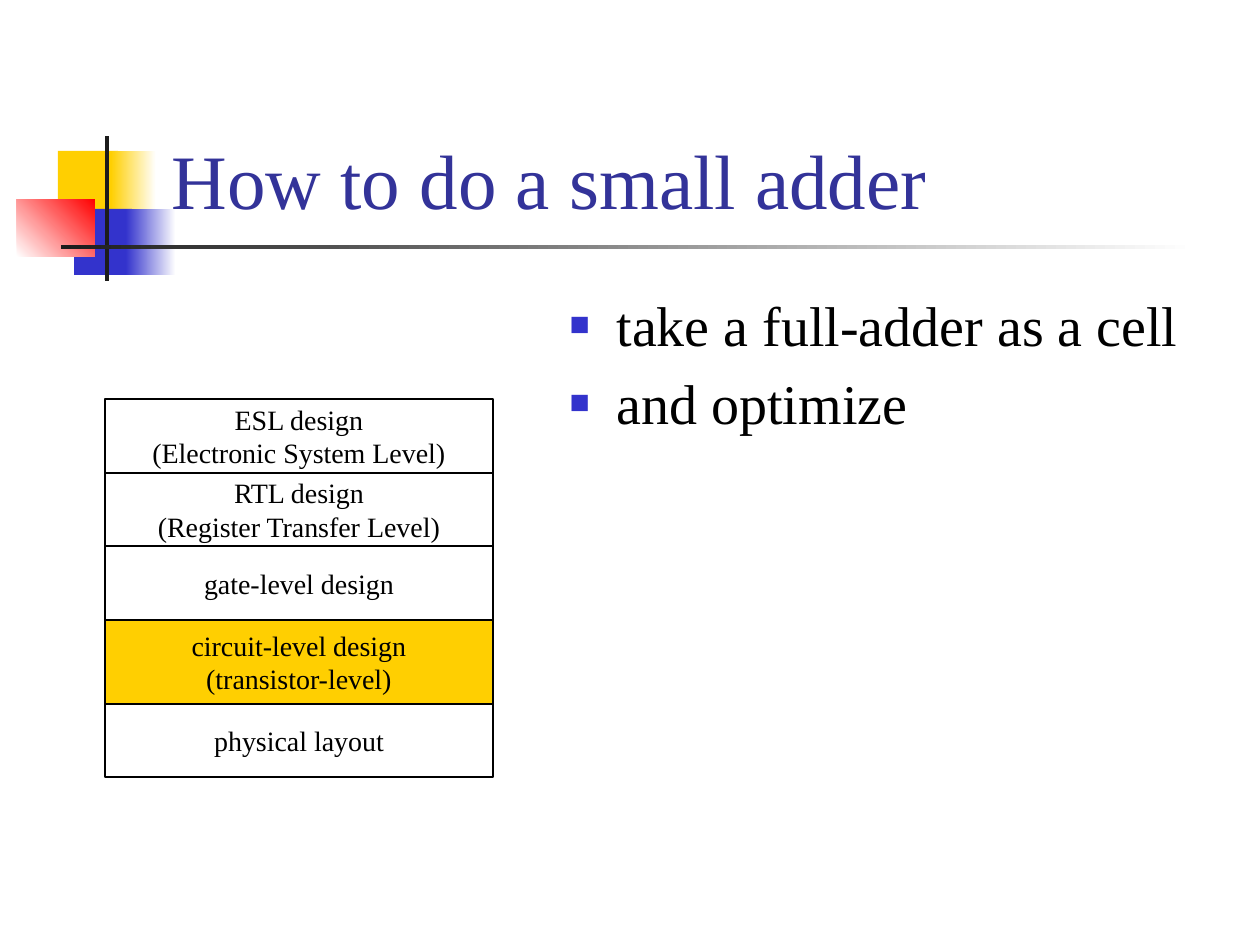
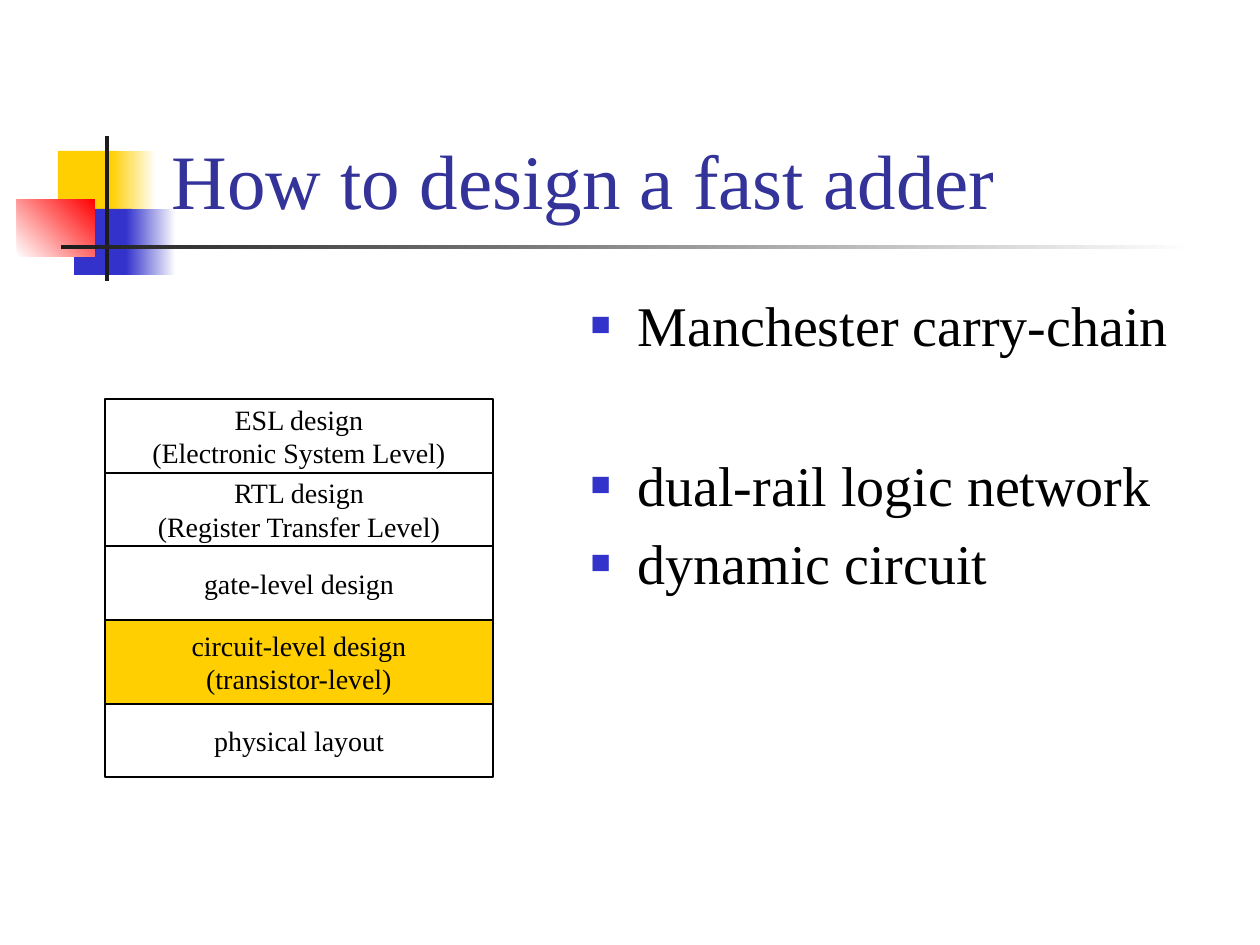
from lxml.etree import SubElement
from pptx import Presentation
from pptx.dml.color import RGBColor
from pptx.enum.shapes import MSO_SHAPE as Preset
from pptx.enum.text import MSO_ANCHOR as Anchor, MSO_AUTO_SIZE as AutoSize, PP_ALIGN as Align
from pptx.oxml.ns import qn
from pptx.util import Emu, Pt

SCALE = 914400 // 126
FONT = "Times New Roman"
BLACK, WHITE, INK = "000000", "FFFFFF", "1C1C1C"
YELLOW, BLUE, RED, TITLE_BLUE = "FFCF01", "3333CC", "FF0000", "333399"

ORNAMENT = [
    ((58, 151, 60, 66), [YELLOW], 0),
    ((111, 151, 45, 66), [YELLOW, WHITE], 0),
    ((74, 209, 58, 66), [BLUE], 0),
    ((126, 209, 50, 66), [BLUE, WHITE], 0),
    ((17, 199, 78, 58), [WHITE, RED], 45),
    ((105, 136, 4, 145), [INK], 0),
    ((61, 245, 1134, 4), [INK, WHITE], 0),
]

LEVELS = [
    (["ESL design", "(Electronic System Level)"], 74),
    (["RTL design", "(Register Transfer Level)"], 73),
    (["gate-level design"], 74),
    (["circuit-level design", "(transistor-level)"], 84),
    (["physical layout"], 73),
]


def px(*lengths):
    return [Emu(length * SCALE) for length in lengths]


def color(value):
    return RGBColor.from_string(value)


class Deck:
    def __init__(self):
        self.presentation = Presentation()
        self.presentation.slide_width, self.presentation.slide_height = px(1260, 945)

    def add_slide(self):
        layout = self.presentation.slide_layouts[1]
        self.slide = self.presentation.slides.add_slide(layout)
        self.heading, self.body = self.slide.placeholders
        for box, colors, angle in ORNAMENT:
            self.ornament(box, colors, angle)
        self.slide.shapes.element.extend([self.heading.element, self.body.element])

    def ornament(self, box, colors, angle):
        block = self.slide.shapes.add_shape(Preset.RECTANGLE, *px(*box))
        block.shadow.inherit = False
        block.line.fill.background()
        if len(colors) == 1:
            block.fill.solid()
            block.fill.fore_color.rgb = color(colors[0])
            return
        block.fill.gradient()
        block.fill.gradient_angle = angle
        for stop, value in zip(block.fill.gradient_stops, colors):
            stop.color.rgb = color(value)

    def style(self, paragraph, size, value, align):
        paragraph.alignment = align
        paragraph.font.name = FONT
        paragraph.font.size = Pt(size)
        paragraph.font.color.rgb = color(value)

    def place(self, placeholder, box, anchor):
        placeholder.left, placeholder.top, placeholder.width, placeholder.height = px(*box)
        placeholder.text_frame.vertical_anchor = anchor
        placeholder.text_frame.auto_size = AutoSize.NONE

    def title(self, text):
        self.place(self.heading, (159, 29, 1073, 202), Anchor.BOTTOM)
        self.heading.text_frame.text = text
        self.style(self.heading.text_frame.paragraphs[0], 44, TITLE_BLUE, Align.LEFT)

    def bullet(self, paragraph):
        properties = paragraph._p.get_or_add_pPr()
        indent, = px(47)
        properties.set("marL", str(indent))
        properties.set("indent", str(-indent))
        SubElement(SubElement(properties, qn("a:buClr")), qn("a:srgbClr"), val=BLUE)
        SubElement(properties, qn("a:buSzPct"), val="60000")
        SubElement(properties, qn("a:buFont"), typeface=FONT)
        SubElement(properties, qn("a:buChar"), char="■")

    def points(self, left, width, texts, wide_gap_before):
        self.place(self.body, (left, 284, width, 567), Anchor.TOP)
        self.body.text_frame.text = "\n".join(texts)
        for text, paragraph in zip(texts, self.body.text_frame.paragraphs):
            self.bullet(paragraph)
            self.style(paragraph, 32, BLACK, Align.LEFT)
            if text == wide_gap_before:
                paragraph.space_before = Pt(53)

    def design_levels(self, current):
        stack = self.slide.shapes.add_group_shape()
        top = 399
        for lines, height in LEVELS:
            level = stack.shapes.add_shape(Preset.RECTANGLE, *px(105, top, 388, height))
            top += height
            level.shadow.inherit = False
            level.line.color.rgb = color(BLACK)
            level.line.width = Pt(0.75)
            if lines[0] == current:
                level.fill.solid()
                level.fill.fore_color.rgb = color(YELLOW)
            else:
                level.fill.background()
            frame = level.text_frame
            frame.word_wrap = False
            frame.vertical_anchor = Anchor.MIDDLE
            frame.text = "\n".join(lines)
            for paragraph in frame.paragraphs:
                self.style(paragraph, 16, BLACK, Align.CENTER)


ADDERS = [
    ("How to do a small adder", 557, 662,
     ["take a full-adder as a cell", "and optimize"], None),
    ("How to design a fast adder", 578, 651,
     ["Manchester carry-chain", "dual-rail logic network", "dynamic circuit"],
     "dual-rail logic network"),
]

deck = Deck()
for title, left, width, texts, wide_gap_before in ADDERS:
    deck.add_slide()
    deck.title(title)
    deck.points(left, width, texts, wide_gap_before)
    deck.design_levels("circuit-level design")
deck.presentation.save("out.pptx")
